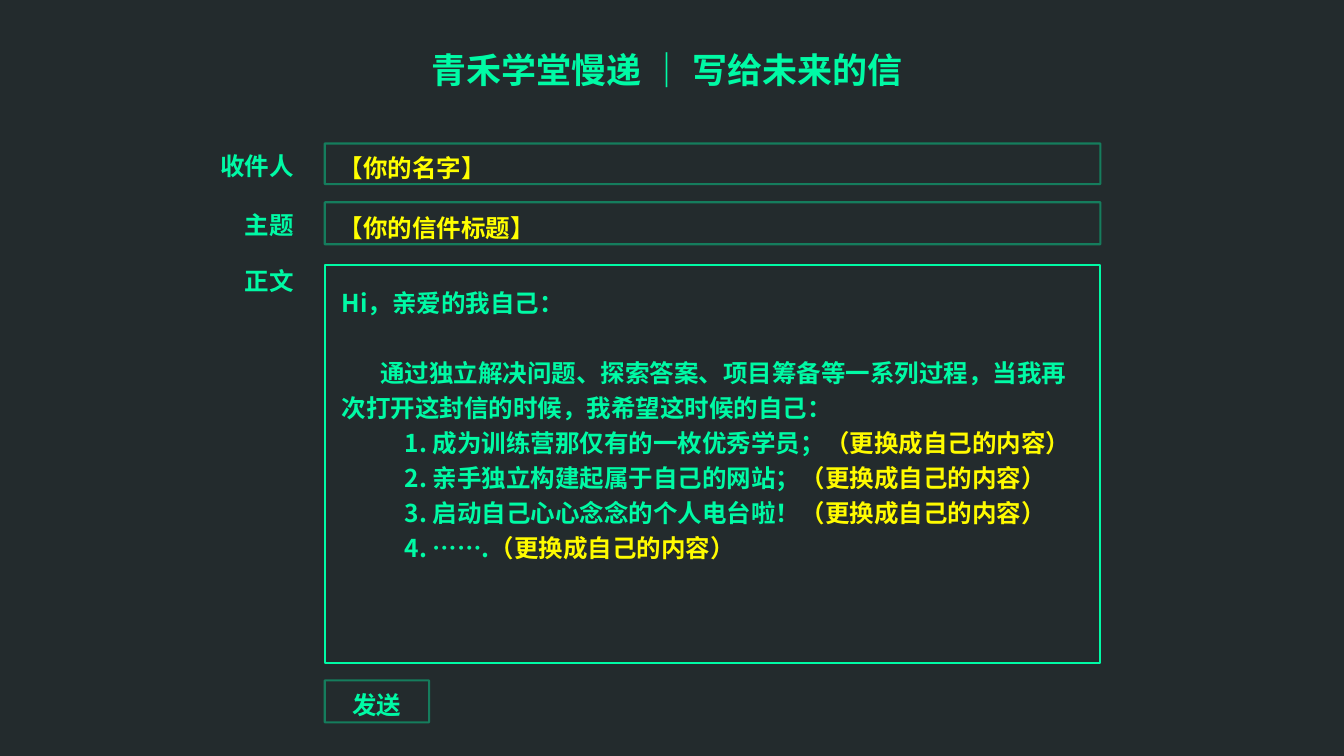
from dataclasses import dataclass

from lxml.etree import SubElement
from pptx import Presentation
from pptx.dml.color import RGBColor
from pptx.enum.shapes import MSO_SHAPE
from pptx.enum.text import MSO_ANCHOR, MSO_AUTO_SIZE, PP_ALIGN
from pptx.oxml.ns import qn
from pptx.util import Emu, Pt

PX = 12700
FONT = "Noto Sans CJK SC"
COLORS = {"background": "232B2D", "green": "00FAA5", "yellow": "FFFF00", "hint": "FFFB00"}
HINT = "（更换成自己的内容）"
GREETING = "Hi，亲爱的我自己："
OPENING = "通过独立解决问题、探索答案、项目筹备等一系列过程，当我再次打开这封信的时候，我希望这时候的自己："
GOALS = [
    "1. 成为训练营那仅有的一枚优秀学员；",
    "2. 亲手独立构建起属于自己的网站；",
    "3. 启动自己心心念念的个人电台啦！",
    "4. …….",
]
FRAME_LEFT, FRAME_WIDTH = 464, 1108
LINE_HEIGHT = 50


@dataclass
class Box:
    left: int
    top: int
    width: int
    height: int

    def emu(self) -> list[Emu]:
        return [Emu(v * PX) for v in (self.left, self.top, self.width, self.height)]


@dataclass
class Caption:
    text: str
    box: Box
    color: str = "green"
    align: PP_ALIGN = PP_ALIGN.LEFT


@dataclass
class Frame:
    box: Box
    opacity: int = 100


CAPTIONS = [
    Caption("收件人", Box(309, 202, 117, 58), align=PP_ALIGN.RIGHT),
    Caption("主题", Box(344, 286, 82, 58), align=PP_ALIGN.RIGHT),
    Caption("正文", Box(344, 366, 82, 58), align=PP_ALIGN.RIGHT),
    Caption("【你的名字】", Box(478, 204, 223, 58), "yellow"),
    Caption("【你的信件标题】", Box(478, 290, 294, 58), "yellow"),
    Caption("发送", Box(497, 971, 82, 62)),
]
FRAMES = [
    Frame(Box(FRAME_LEFT, 205, FRAME_WIDTH, 58), 40),
    Frame(Box(FRAME_LEFT, 289, FRAME_WIDTH, 60), 40),
    Frame(Box(FRAME_LEFT, 379, FRAME_WIDTH, 568)),
    Frame(Box(FRAME_LEFT, 972, 149, 60), 40),
]


def rgb(color: str) -> RGBColor:
    return RGBColor.from_string(COLORS[color])


def format_run(run, color: str, size: int = 35) -> None:
    run.font.size = Pt(size)
    run.font.bold = True
    run.font.color.rgb = rgb(color)
    run.font.name = FONT
    SubElement(run.font._element, qn("a:ea"), typeface=FONT)


def place(shape, box: Box, side: int, top: int, wrap: bool):
    shape.left, shape.top, shape.width, shape.height = box.emu()
    frame = shape.text_frame
    frame.auto_size = MSO_AUTO_SIZE.NONE
    frame.word_wrap = wrap
    frame.margin_left = frame.margin_right = Emu(side * PX)
    frame.margin_top = frame.margin_bottom = Emu(top * PX)
    return frame


def draw_caption(slide, caption: Caption) -> None:
    shape = slide.shapes.add_textbox(*caption.box.emu())
    frame = place(shape, caption.box, 6, 6, False)
    frame.text = caption.text
    line = frame.paragraphs[0]
    line.alignment = caption.align
    line.line_spacing = Pt(LINE_HEIGHT)
    format_run(line.runs[0], caption.color)


def draw_frame(slide, frame: Frame) -> None:
    outline = slide.shapes.add_shape(MSO_SHAPE.RECTANGLE, *frame.box.emu())
    outline.shadow.inherit = False
    outline.fill.background()
    outline.line.width = Pt(3)
    outline.line.color.rgb = rgb("green")
    if frame.opacity < 100:
        tint = outline.line._ln.find(".//" + qn("a:srgbClr"))
        SubElement(tint, qn("a:alpha"), val=str(frame.opacity * 1000))


def write_line(paragraph, text: str, indent: int, gap: int = 0) -> None:
    paragraph.text = text
    paragraph.alignment = PP_ALIGN.LEFT
    paragraph.line_spacing = Pt(LINE_HEIGHT)
    paragraph.space_before = Pt(gap)
    properties = paragraph._p.get_or_add_pPr()
    properties.set("marL", "0")
    properties.set("indent", str(indent * PX))
    SubElement(properties, qn("a:buNone"))
    format_run(paragraph.runs[0], "green")


def draw_title(title) -> None:
    frame = place(title, Box(606, 65, 695, 68), 4, 4, False)
    frame.vertical_anchor = MSO_ANCHOR.MIDDLE
    frame.text = "青禾学堂慢递 ｜ 写给未来的信"
    frame.paragraphs[0].alignment = PP_ALIGN.CENTER
    format_run(frame.paragraphs[0].runs[0], "green", 50)


def draw_letter(letter) -> None:
    frame = place(letter, Box(482, 398, 1063, 414), 6, 6, True)
    frame.vertical_anchor = MSO_ANCHOR.TOP
    write_line(frame.paragraphs[0], GREETING, 0)
    write_line(frame.add_paragraph(), OPENING, 55, LINE_HEIGHT)
    for goal in GOALS:
        line = frame.add_paragraph()
        line.level = 4
        write_line(line, goal, 90)
        hint = line.add_run()
        hint.text = HINT
        format_run(hint, "hint")


def main() -> None:
    deck = Presentation()
    deck.slide_width, deck.slide_height = Emu(1920 * PX), Emu(1080 * PX)
    slide = deck.slides.add_slide(deck.slide_layouts[1])
    slide.background.fill.solid()
    slide.background.fill.fore_color.rgb = rgb("background")
    draw_title(slide.shapes.title)
    draw_letter(slide.placeholders[1])
    for frame in FRAMES:
        draw_frame(slide, frame)
    for caption in CAPTIONS:
        draw_caption(slide, caption)
    deck.save("out.pptx")


if __name__ == "__main__":
    main()
